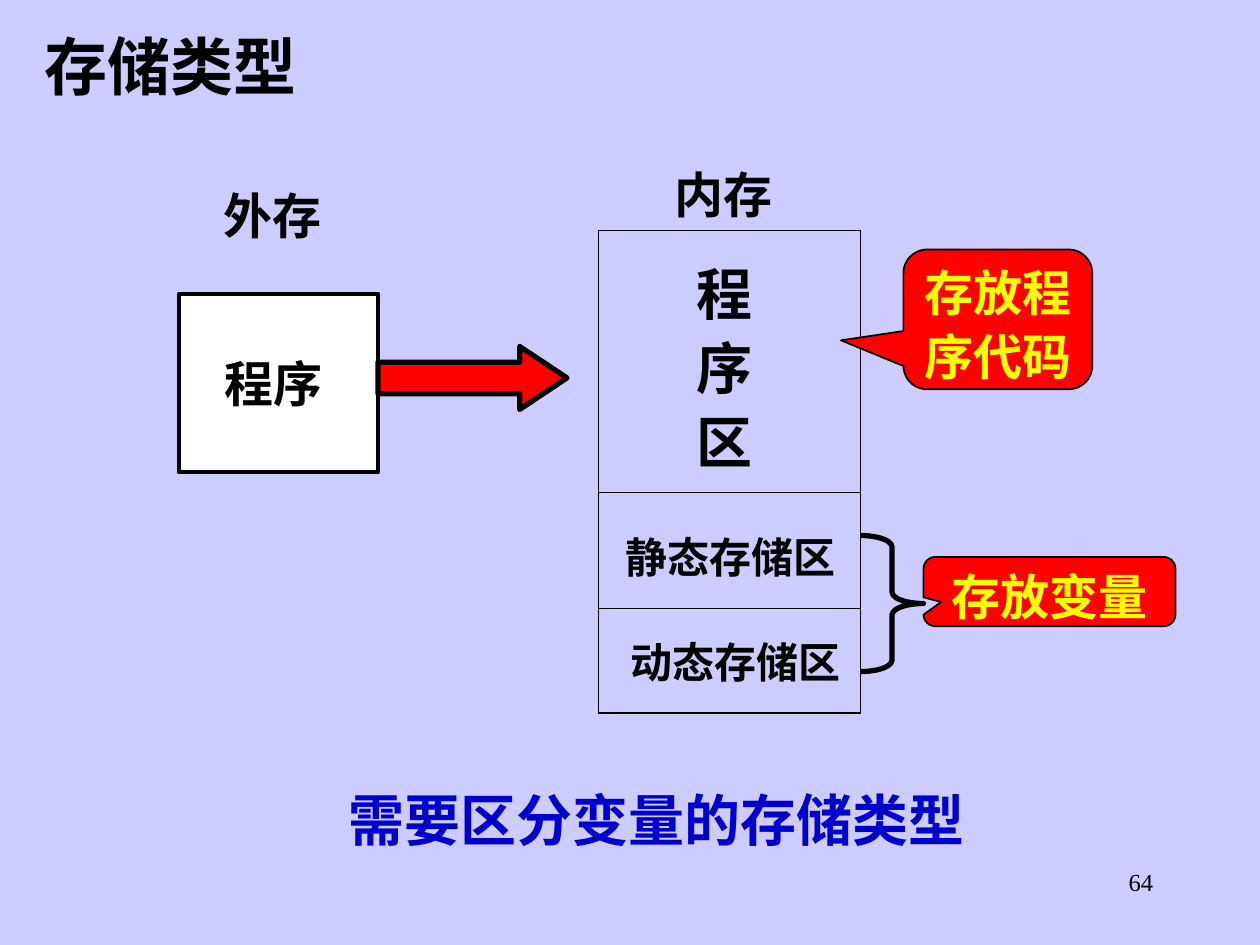
"""Build the slide on storage classes: external storage, memory areas and callouts."""
from dataclasses import dataclass

from lxml.etree import SubElement
from pptx import Presentation
from pptx.dml.color import RGBColor
from pptx.enum.lang import MSO_LANGUAGE_ID
from pptx.enum.shapes import MSO_SHAPE
from pptx.enum.text import MSO_ANCHOR, MSO_AUTO_SIZE, PP_ALIGN
from pptx.oxml.ns import qn
from pptx.shapes.autoshape import Shape
from pptx.slide import Slide
from pptx.table import _Cell
from pptx.text.text import TextFrame
from pptx.util import Inches, Pt

LAVENDER = RGBColor(0xCC, 0xCC, 0xFF)
BLACK = RGBColor(0x00, 0x00, 0x00)
WHITE = RGBColor(0xFF, 0xFF, 0xFF)
RED = RGBColor(0xFF, 0x00, 0x00)
YELLOW = RGBColor(0xFF, 0xFF, 0x00)
BLUE = RGBColor(0x00, 0x00, 0xCC)
FONT = "Times New Roman"
THIN, THICK = 0.45, 1.08


@dataclass(frozen=True)
class Box:
    left: float
    top: float
    width: float
    height: float

    def lengths(self) -> tuple[Inches, ...]:
        return tuple(Inches(value) for value in (self.left, self.top, self.width, self.height))


@dataclass(frozen=True)
class Label:
    text: str
    box: Box
    size: int
    color: RGBColor = BLACK


@dataclass(frozen=True)
class Callout:
    text: str
    box: Box
    pointer: tuple[float, float]


LABELS = (
    Label("外存", Box(1.5, 1.42, 1.33, 0.54), 28),
    Label("内存", Box(5.08, 1.25, 1.33, 0.54), 28),
    Label("程序", Box(1.67, 2.75, 1, 0.54), 28),
    Label("程序区", Box(5.5, 2, 0.5, 1.78), 32),
    Label("静态存储区", Box(4.92, 4.17, 1.75, 0.46), 24),
    Label("动态存储区", Box(4.92, 5, 1.83, 0.46), 24),
    Label("需要区分变量的存储类型", Box(0.92, 6.17, 8.58, 0.61), 32, BLUE),
)
CALLOUTS = (
    Callout("存放程序代码", Box(7.17, 1.98, 1.5, 1.11), (-0.83, 0.15)),
    Callout("存放变量", Box(7.33, 4.42, 2, 0.55), (-0.43, 0.15)),
)
MEMORY_BOX = Box(4.75, 1.83, 2.08, 3.83)
MEMORY_ROWS = (2.08, 0.92, 0.83)


def write_text(frame: TextFrame, text: str, size: int, color: RGBColor = BLACK,
               alignment: PP_ALIGN = PP_ALIGN.CENTER, spacing: float = 1.1,
               margins: tuple[float, float] = (0.02, 0.01), bold: bool = True) -> None:
    frame.word_wrap = True
    frame.auto_size = MSO_AUTO_SIZE.NONE
    frame.vertical_anchor = MSO_ANCHOR.TOP
    frame.margin_left = frame.margin_right = Inches(margins[0])
    frame.margin_top = frame.margin_bottom = Inches(margins[1])
    paragraph = frame.paragraphs[0]
    paragraph.alignment = alignment
    paragraph.line_spacing = spacing
    run = paragraph.add_run()
    run.text = text
    run.font.name = FONT
    run.font.size = Pt(size)
    run.font.bold = bold
    run.font.color.rgb = color
    run.font.language_id = MSO_LANGUAGE_ID.SIMPLIFIED_CHINESE


def add_label(slide: Slide, label: Label) -> None:
    text_box = slide.shapes.add_textbox(*label.box.lengths())
    write_text(text_box.text_frame, label.text, label.size, label.color)


def add_outlined_shape(slide: Slide, kind: MSO_SHAPE, box: Box, fill: RGBColor | None,
                       line_width: float, adjustments: tuple[float, ...] = ()) -> Shape:
    shape = slide.shapes.add_shape(kind, *box.lengths())
    shape.shadow.inherit = False
    if fill is None:
        shape.fill.background()
    else:
        shape.fill.solid()
        shape.fill.fore_color.rgb = fill
    shape.line.color.rgb = BLACK
    shape.line.width = Pt(line_width)
    for index, value in enumerate(adjustments):
        shape.adjustments[index] = value
    return shape


def add_callout(slide: Slide, callout: Callout) -> None:
    shape = add_outlined_shape(slide, MSO_SHAPE.ROUNDED_RECTANGULAR_CALLOUT, callout.box,
                               RED, 1, (*callout.pointer, 0.17))
    write_text(shape.text_frame, callout.text, 28, YELLOW, margins=(0, 0))


def set_borders(cell: _Cell, top: float, bottom: float) -> None:
    cell.fill.background()
    properties = cell._tc.get_or_add_tcPr()
    widths = {"a:lnL": THICK, "a:lnR": THICK, "a:lnT": top, "a:lnB": bottom}
    for position, (tag, width) in enumerate(widths.items()):
        line = SubElement(properties, qn(tag), w=str(Pt(width)))
        fill = SubElement(line, qn("a:solidFill"))
        SubElement(fill, qn("a:srgbClr"), val=str(BLACK))
        properties.insert(position, line)


def add_memory_table(slide: Slide) -> None:
    row_count = len(MEMORY_ROWS)
    table = slide.shapes.add_table(row_count, 1, *MEMORY_BOX.lengths()).table
    table.first_row = table.horz_banding = False
    for index, height in enumerate(MEMORY_ROWS):
        table.rows[index].height = Inches(height)
        set_borders(table.cell(index, 0),
                    THICK if index == 0 else THIN,
                    THICK if index == row_count - 1 else THIN)


def add_title(slide: Slide) -> None:
    title = slide.shapes.title
    title.left, title.top, title.width, title.height = Box(0.25, 0.17, 2.58, 0.7).lengths()
    write_text(title.text_frame, "存储类型", 36, alignment=PP_ALIGN.LEFT,
               spacing=1.0, margins=(0.1, 0.05))


def add_page_number(slide: Slide) -> None:
    text_box = slide.shapes.add_textbox(*Box(7.17, 6.83, 2.08, 0.5).lengths())
    write_text(text_box.text_frame, "64", 14, alignment=PP_ALIGN.RIGHT,
               spacing=1.0, margins=(0.1, 0.05), bold=False)


def main() -> None:
    presentation = Presentation()
    presentation.slide_width, presentation.slide_height = Inches(10), Inches(7.5)
    slide = presentation.slides.add_slide(presentation.slide_layouts[5])
    slide.background.fill.solid()
    slide.background.fill.fore_color.rgb = LAVENDER
    add_page_number(slide)
    add_title(slide)
    add_memory_table(slide)
    add_outlined_shape(slide, MSO_SHAPE.RECTANGLE, Box(1.42, 2.33, 1.58, 1.42), WHITE, 2.25)
    add_outlined_shape(slide, MSO_SHAPE.RIGHT_ARROW, Box(3, 2.75, 1.5, 0.5), RED, 3, (0.5, 0.75))
    for label in LABELS:
        add_label(slide, label)
    for callout in CALLOUTS:
        add_callout(slide, callout)
    add_outlined_shape(slide, MSO_SHAPE.RIGHT_BRACE, Box(6.83, 4.25, 0.5, 1.08), None, 3, (0.18, 0.5))
    presentation.save("out.pptx")


if __name__ == "__main__":
    main()
